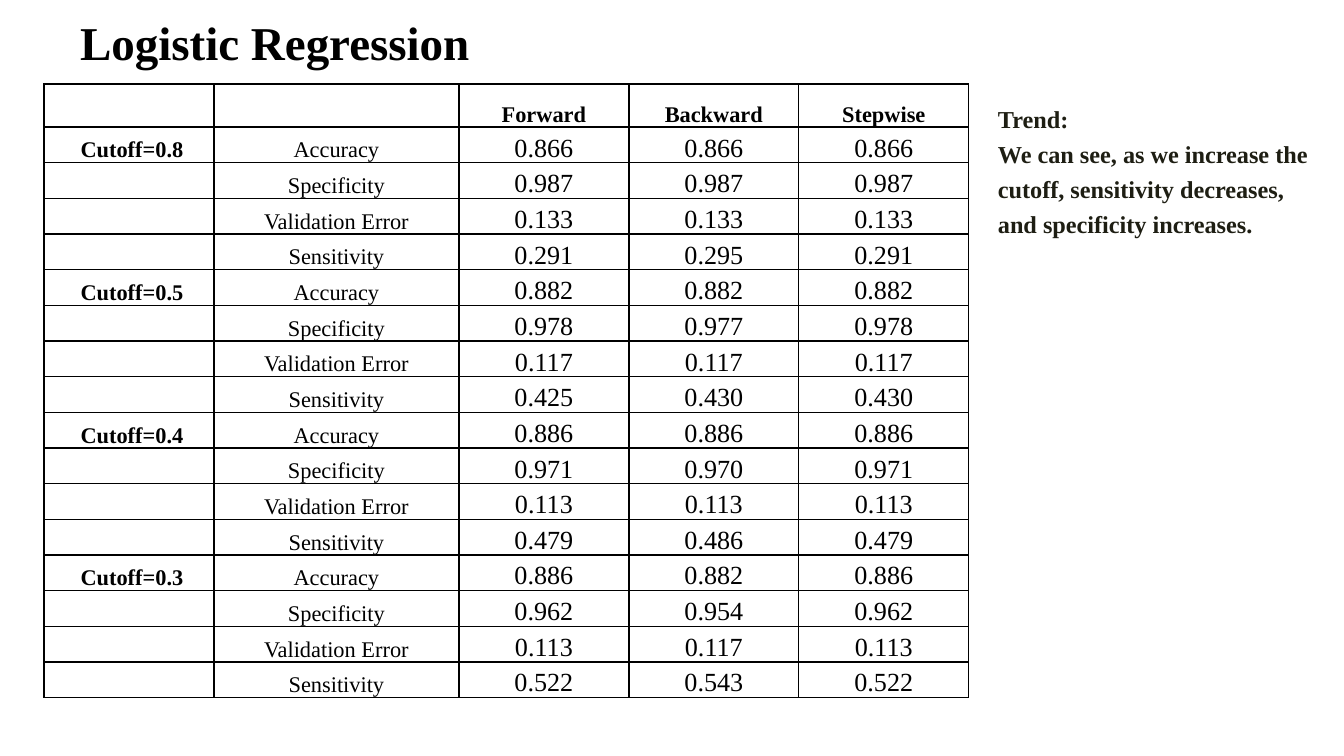
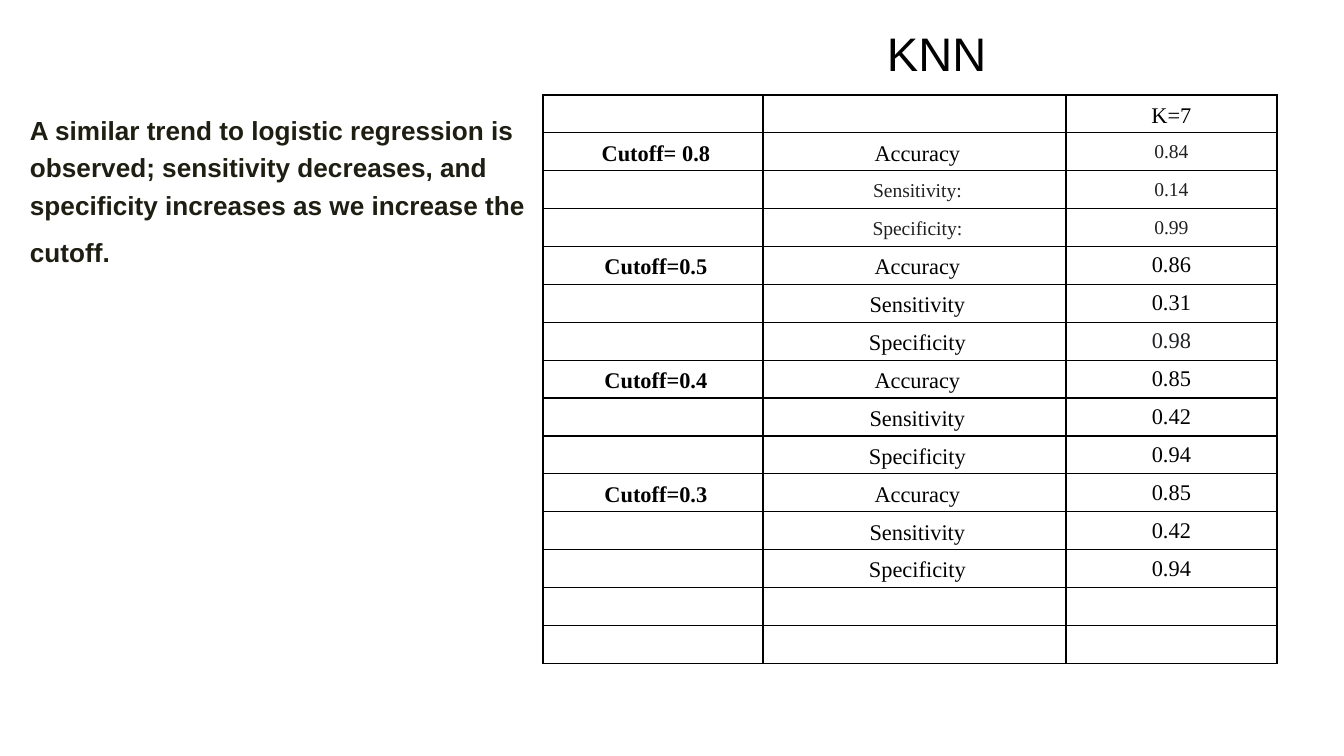
"""Build two slides comparing logistic regression and KNN results by cutoff."""
from lxml import etree
from pptx import Presentation
from pptx.dml.color import RGBColor
from pptx.enum.text import MSO_ANCHOR, MSO_AUTO_SIZE, PP_ALIGN
from pptx.oxml.ns import qn
from pptx.util import Emu, Pt

LEFT, CENTER = PP_ALIGN.LEFT, PP_ALIGN.CENTER
TOP, MIDDLE, BOTTOM = MSO_ANCHOR.TOP, MSO_ANCHOR.MIDDLE, MSO_ANCHOR.BOTTOM
NO_AUTOFIT = MSO_AUTO_SIZE.NONE

BLACK = RGBColor(0x00, 0x00, 0x00)
WHITE = RGBColor(0xFF, 0xFF, 0xFF)
OLIVE = RGBColor(0x1E, 0x1E, 0x13)
GRAY = RGBColor(0x21, 0x21, 0x21)
SLATE = RGBColor(0x20, 0x21, 0x24)
SERIF, SANS = "Times New Roman", "Arial"

EMU_PER_PX = 914400 / 134.4
SLIDE_SIZE = (1344, 756)
TITLE_LEFT, TITLE_WIDTH, TITLE_HEIGHT = 67, 1210, 84
TEXT_INSET = 13
CELL_NUDGE = 6
TITLE_SIZE, LABEL_SIZE = 25.2, 12
BORDER_SIDES = ("a:lnL", "a:lnR", "a:lnT", "a:lnB")

REGRESSION_HEADER = ("", "", "Forward", "Backward", "Stepwise")
REGRESSION_RESULTS = {
    "Cutoff=0.8": [
        ("Accuracy", "0.866", "0.866", "0.866"),
        ("Specificity", "0.987", "0.987", "0.987"),
        ("Validation Error", "0.133", "0.133", "0.133"),
        ("Sensitivity", "0.291", "0.295", "0.291"),
    ],
    "Cutoff=0.5": [
        ("Accuracy", "0.882", "0.882", "0.882"),
        ("Specificity", "0.978", "0.977", "0.978"),
        ("Validation Error", "0.117", "0.117", "0.117"),
        ("Sensitivity", "0.425", "0.430", "0.430"),
    ],
    "Cutoff=0.4": [
        ("Accuracy", "0.886", "0.886", "0.886"),
        ("Specificity", "0.971", "0.970", "0.971"),
        ("Validation Error", "0.113", "0.113", "0.113"),
        ("Sensitivity", "0.479", "0.486", "0.479"),
    ],
    "Cutoff=0.3": [
        ("Accuracy", "0.886", "0.882", "0.886"),
        ("Specificity", "0.962", "0.954", "0.962"),
        ("Validation Error", "0.113", "0.117", "0.113"),
        ("Sensitivity", "0.522", "0.543", "0.522"),
    ],
}
REGRESSION_TREND = [
    "Trend:",
    "We can see, as we increase the cutoff, sensitivity decreases, "
    "and specificity increases.",
]

KNN_HEADER = ("", "", "K=7")
KNN_RESULTS = {
    "Cutoff= 0.8": [("Accuracy", "0.84"), ("Sensitivity:", "0.14"), ("Specificity:", "0.99")],
    "Cutoff=0.5": [("Accuracy", "0.86"), ("Sensitivity", "0.31"), ("Specificity", "0.98")],
    "Cutoff=0.4": [("Accuracy", "0.85"), ("Sensitivity", "0.42"), ("Specificity", "0.94")],
    "Cutoff=0.3": [("Accuracy", "0.85"), ("Sensitivity", "0.42"), ("Specificity", "0.94")],
}
KNN_SPARE_ROWS = 2
KNN_TREND = (
    "A similar trend to logistic regression is observed; sensitivity decreases, "
    "and specificity increases as we increase the cutoff."
)
KNN_STYLES = {
    **dict.fromkeys(("0.84", "0.14", "0.99", "Sensitivity:", "Specificity:"), (10.5, GRAY)),
    "0.98": (12, SLATE),
}


def px(length):
    return Emu(round(length * EMU_PER_PX))


def add_run(paragraph, text, size, font_name, color=BLACK, bold=False):
    run = paragraph.add_run()
    run.text = text
    font = run.font
    font.size, font.name, font.bold = Pt(size), font_name, bold
    font.color.rgb = color


def set_insets(text_frame, inset):
    text_frame.margin_left = text_frame.margin_right = px(inset)
    text_frame.margin_top = text_frame.margin_bottom = px(inset)


def add_titled_slide(presentation, title, top, font_name, bold=False, text_left=None):
    slide = presentation.slides.add_slide(presentation.slide_layouts[5])
    slide.background.fill.solid()
    slide.background.fill.fore_color.rgb = WHITE
    shape = slide.shapes.title
    shape.left, shape.top = px(TITLE_LEFT), px(top)
    shape.width, shape.height = px(TITLE_WIDTH), px(TITLE_HEIGHT)
    text_frame = shape.text_frame
    text_frame.auto_size, text_frame.vertical_anchor = NO_AUTOFIT, TOP
    set_insets(text_frame, TEXT_INSET)
    if text_left is not None:
        text_frame.margin_left = px(text_left - TITLE_LEFT)
    paragraph = text_frame.paragraphs[0]
    paragraph.alignment = LEFT
    add_run(paragraph, title, TITLE_SIZE, font_name, bold=bold)
    return slide


def add_note(slide, left, top, width, height):
    shape = slide.shapes.add_textbox(px(left), px(top), px(width), px(height))
    text_frame = shape.text_frame
    text_frame.word_wrap = True
    set_insets(text_frame, TEXT_INSET)
    paragraph = text_frame.paragraphs[0]
    paragraph.line_spacing = 1.2
    return paragraph


def add_borders(cell):
    properties = cell._tc.get_or_add_tcPr()
    for index, side in enumerate(BORDER_SIDES):
        line = etree.Element(qn(side), w=str(Pt(0.75)))
        fill = etree.SubElement(line, qn("a:solidFill"))
        etree.SubElement(fill, qn("a:srgbClr"), val=str(BLACK))
        properties.insert(index, line)


def list_rows(header, results):
    rows = [header]
    for cutoff, metrics in results.items():
        for index, metric in enumerate(metrics):
            rows.append(("" if index else cutoff, *metric))
    return rows


def add_results(slide, rows, left, top, widths, heights, anchor, value_size,
                nudged_columns, bold_header=False, styles=None):
    frame = slide.shapes.add_table(
        len(rows), len(widths), px(left), px(top), px(sum(widths)), px(sum(heights)))
    table = frame.table
    table.first_row = table.horz_banding = False
    for column, width in zip(table.columns, widths):
        column.width = px(width)
    for row, height in zip(table.rows, heights):
        row.height = px(height)
    for row_index, row in enumerate(rows):
        for column_index, text in enumerate(row):
            cell = table.cell(row_index, column_index)
            cell.fill.solid()
            cell.fill.fore_color.rgb = WHITE
            add_borders(cell)
            set_insets(cell, 0)
            cell.vertical_anchor = anchor
            paragraph = cell.text_frame.paragraphs[0]
            if not text:
                etree.SubElement(paragraph._p, qn("a:endParaRPr"), sz=str(LABEL_SIZE * 100))
                continue
            if row_index and column_index in nudged_columns:
                cell.margin_left = px(CELL_NUDGE)
            is_value = row_index > 0 and column_index > 1
            paragraph.alignment = CENTER
            paragraph.line_spacing = 1.0 if is_value else 1.15
            default_style = (value_size if is_value else LABEL_SIZE, BLACK)
            size, color = (styles or {}).get(text, default_style)
            bold = column_index == 0 or (bold_header and row_index == 0)
            add_run(paragraph, text, size, SERIF, color, bold)


def build_regression(presentation):
    slide = add_titled_slide(presentation, "Logistic Regression", 0, SERIF, bold=True)
    trend = add_note(slide, 985, 85, 345, 163)
    for index, line in enumerate(REGRESSION_TREND):
        if index:
            trend.add_line_break()
        add_run(trend, line, 13, SERIF, OLIVE, bold=True)
    rows = list_rows(REGRESSION_HEADER, REGRESSION_RESULTS)
    body_count = len(rows) - 1
    heights = [43] + [571 / body_count] * body_count
    add_results(slide, rows, 44, 84, (170, 245, 170, 170, 170), heights, BOTTOM,
                value_size=14, nudged_columns=(0,), bold_header=True)


def build_knn(presentation):
    slide = add_titled_slide(presentation, "KNN", 11, SANS, text_left=887)
    rows = list_rows(KNN_HEADER, KNN_RESULTS) + [("", "", "")] * KNN_SPARE_ROWS
    heights = [569 / len(rows)] * len(rows)
    add_results(slide, rows, 543, 95, (220, 303, 211), heights, MIDDLE,
                value_size=12, nudged_columns=(0, 1), styles=KNN_STYLES)
    trend = add_note(slide, 17, 95, 603, 181)
    add_run(trend, KNN_TREND, 14, SANS, OLIVE, bold=True)
    add_run(trend, " ", 18, SANS, OLIVE, bold=True)


def main():
    presentation = Presentation()
    presentation.slide_width, presentation.slide_height = map(px, SLIDE_SIZE)
    build_regression(presentation)
    build_knn(presentation)
    presentation.save("out.pptx")


if __name__ == "__main__":
    main()
